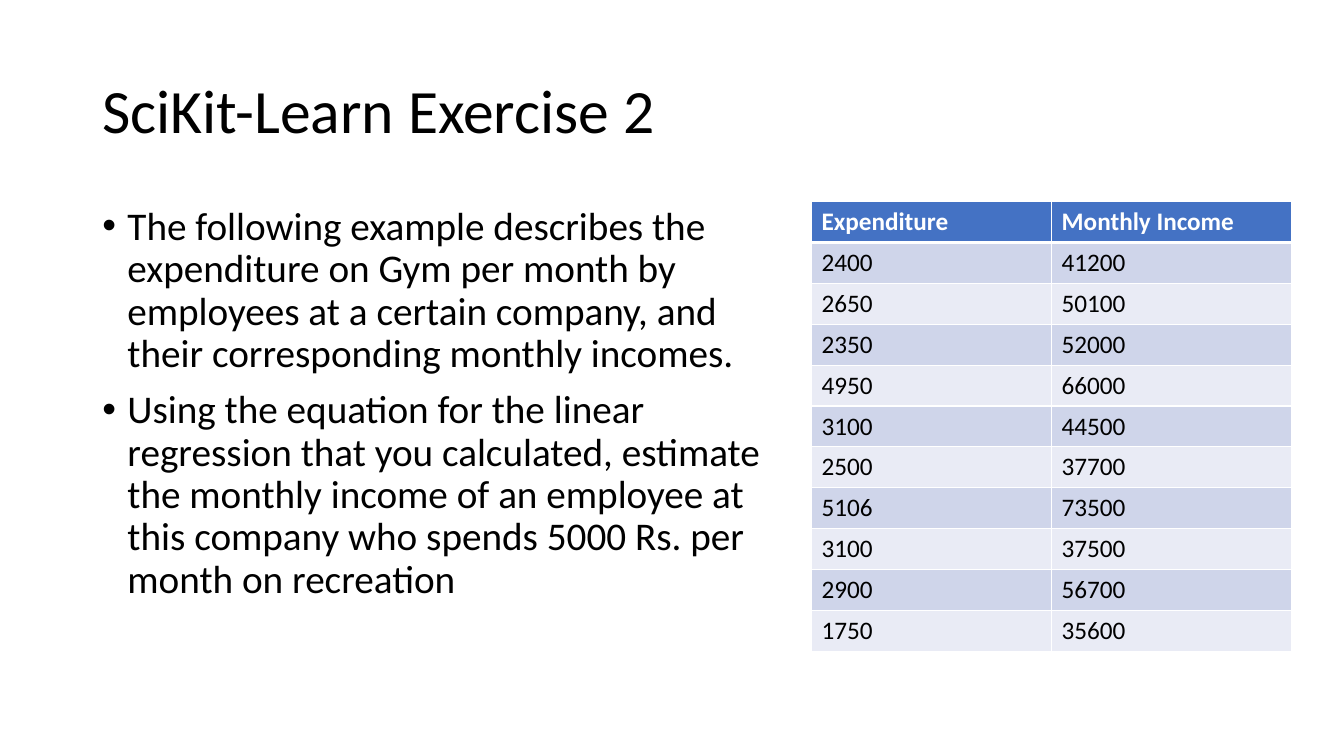
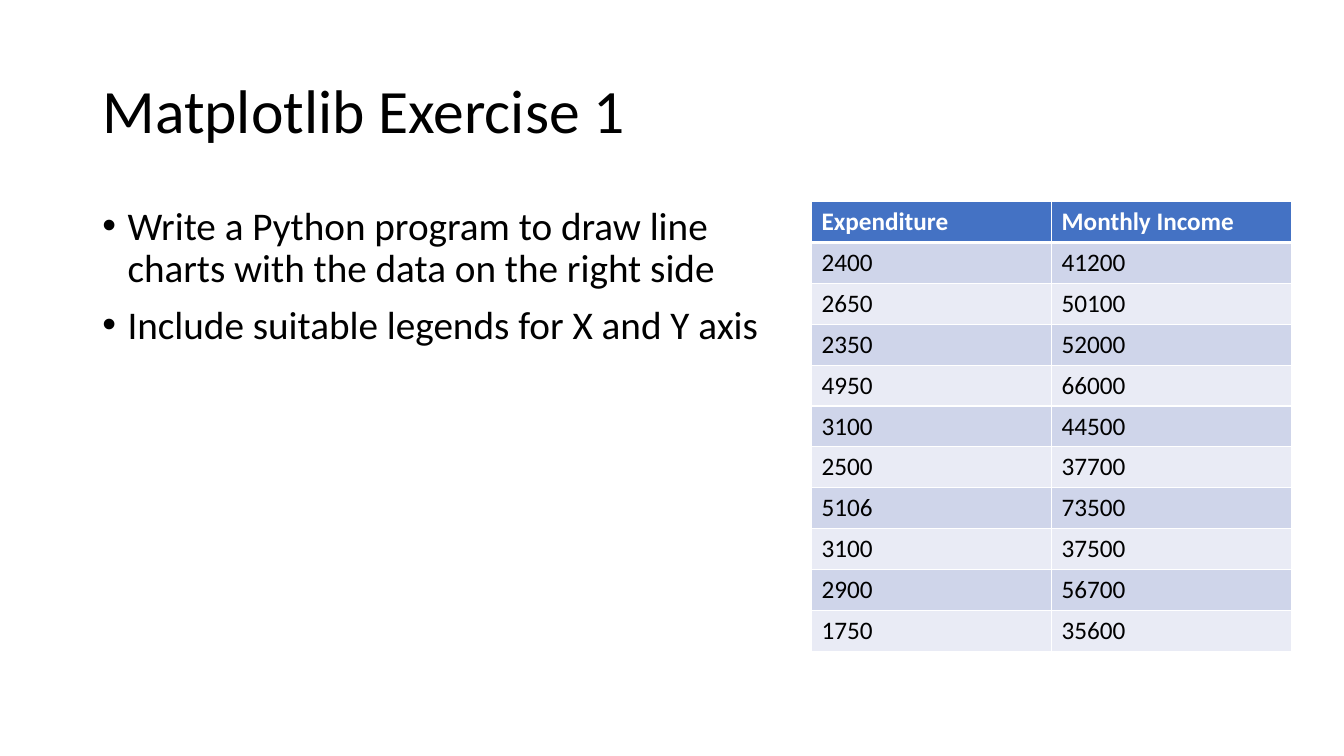
from dataclasses import dataclass

from lxml import etree
from pptx import Presentation
from pptx.dml.color import RGBColor
from pptx.enum import text
from pptx.oxml import ns
from pptx.util import Pt


@dataclass(frozen=True)
class Theme:
    font: str = "Calibri"
    ink: str = "000000"
    white: str = "FFFFFF"
    header: str = "4472C4"
    bands: tuple = ("CFD5EA", "E9EBF5")
    title_size: int = 44
    body_size: int = 28
    table_size: int = 18


theme = Theme()


def format_paragraph(paragraph, size, color, bold=False, **layout):
    for attribute, value in layout.items():
        setattr(paragraph, attribute, value)
    styles = {"name": theme.font, "size": Pt(size), "bold": bold}
    for attribute, value in styles.items():
        setattr(paragraph.font, attribute, value)
    paragraph.font.color.rgb = RGBColor.from_string(color)


def add_border(cell, side, width):
    properties = cell._tc.get_or_add_tcPr()
    line = etree.SubElement(properties, ns.qn(f"a:ln{side}"), w=str(Pt(width)))
    fill = etree.SubElement(line, ns.qn("a:solidFill"))
    etree.SubElement(fill, ns.qn("a:srgbClr"), val=theme.white)


exercises = [
    ("SciKit-Learn Exercise 2", 513, [
        "The following example describes the expenditure on Gym per month by "
        "employees at a certain company, and their corresponding monthly incomes.",
        "Using the equation for the linear regression that you calculated, estimate "
        "the monthly income of an employee at this company who spends 5000 Rs. per "
        "month on recreation",
    ]),
    ("Matplotlib Exercise 1", 505, [
        "Write a Python program to draw line charts with the data on the right side",
        "Include suitable legends for X and Y axis",
    ]),
]
records = [
    ("Expenditure", "Monthly Income"),
    (2400, 41200),
    (2650, 50100),
    (2350, 52000),
    (4950, 66000),
    (3100, 44500),
    (2500, 37700),
    (5106, 73500),
    (3100, 37500),
    (2900, 56700),
    (1750, 35600),
]
left_margin, content_top = 66, 144
row_height, column_width = 29.2, 171.6

presentation = Presentation()
presentation.slide_width, presentation.slide_height = Pt(960), Pt(540)
title_only = presentation.slide_layouts[5]

for heading, task_width, tasks in exercises:
    slide = presentation.slides.add_slide(title_only)

    title = slide.shapes.title
    title_box = {"left": left_margin, "top": 28.75, "width": 828, "height": 104.4}
    for attribute, value in title_box.items():
        setattr(title, attribute, Pt(value))
    title.text_frame.text = heading
    title.text_frame.auto_size = text.MSO_AUTO_SIZE.NONE
    title.text_frame.vertical_anchor = text.MSO_ANCHOR.MIDDLE
    format_paragraph(title.text_frame.paragraphs[0], theme.title_size, theme.ink,
                     alignment=text.PP_ALIGN.LEFT, line_spacing=0.9)

    task_list = slide.shapes.add_textbox(
        Pt(left_margin), Pt(content_top), Pt(task_width), Pt(342.6)).text_frame
    task_list.word_wrap = True
    task_list.text = "\n".join(tasks)
    for task in task_list.paragraphs:
        format_paragraph(task, theme.body_size, theme.ink,
                         line_spacing=0.9, space_before=Pt(10))
        properties = task._p.get_or_add_pPr()
        properties.set("marL", str(Pt(18)))
        properties.set("indent", str(Pt(-18)))
        bullet_font = etree.Element(ns.qn("a:buFont"), typeface="Arial")
        bullet = etree.Element(ns.qn("a:buChar"), char="•")
        run_defaults = properties.find(ns.qn("a:defRPr"))
        run_defaults.addprevious(bullet_font)
        run_defaults.addprevious(bullet)

    incomes = slide.shapes.add_table(
        len(records), len(records[0]), Pt(579.6), Pt(content_top),
        Pt(column_width * len(records[0])), Pt(row_height * len(records))).table
    for column in incomes.columns:
        column.width = Pt(column_width)
    for row_index, record in enumerate(records):
        is_header = row_index == 0
        fill_color = theme.header if is_header else theme.bands[(row_index - 1) % 2]
        text_color = theme.white if is_header else theme.ink
        borders = {"L": 1, "R": 1, "T": 3 if row_index == 1 else 1,
                   "B": 3 if is_header else 1}
        incomes.rows[row_index].height = Pt(row_height)
        for column_index, value in enumerate(record):
            cell = incomes.cell(row_index, column_index)
            cell.text = str(value)
            format_paragraph(cell.text_frame.paragraphs[0], theme.table_size,
                             text_color, bold=is_header)
            for side, width in borders.items():
                add_border(cell, side, width)
            cell.fill.solid()
            cell.fill.fore_color.rgb = RGBColor.from_string(fill_color)

presentation.save("out.pptx")
